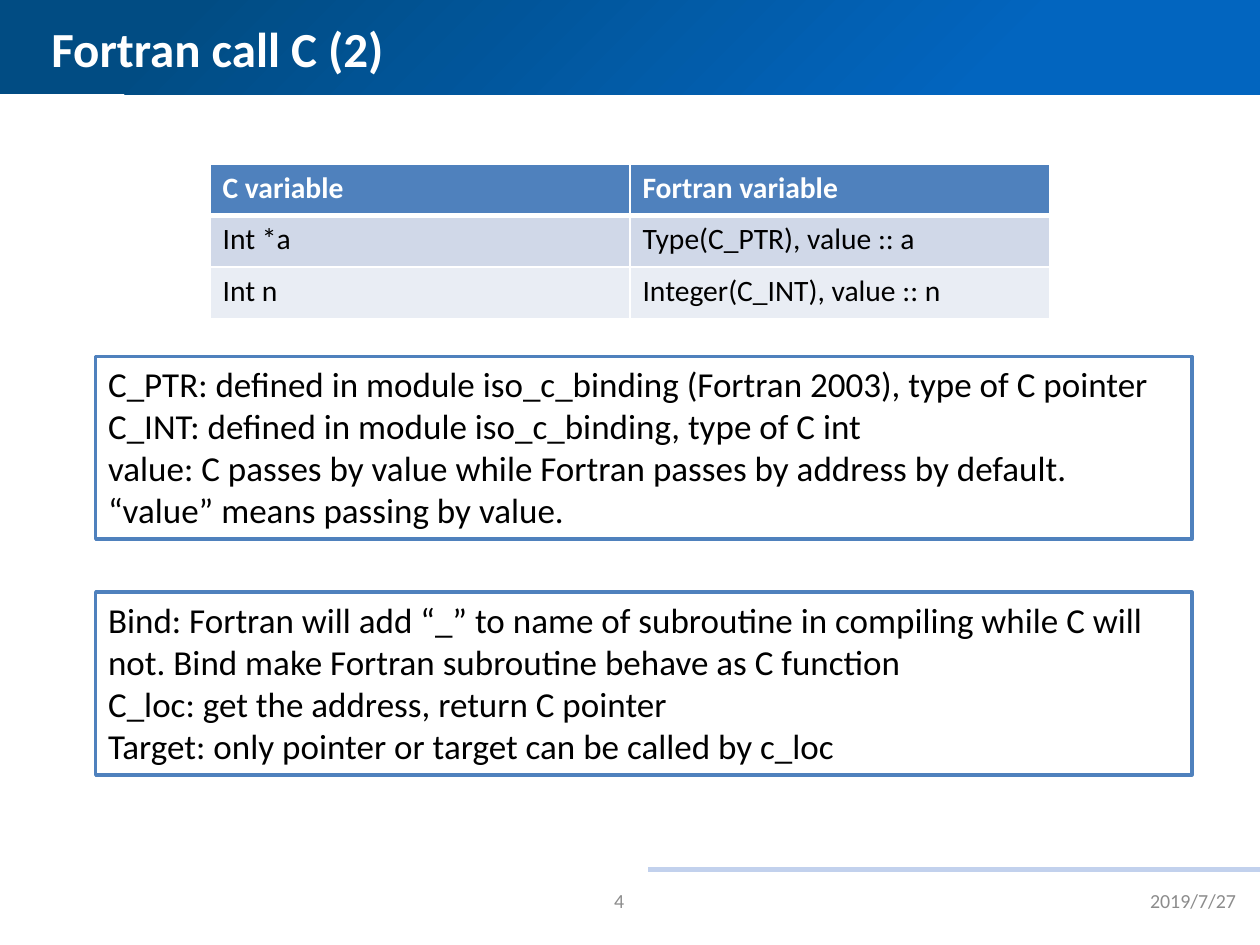
"""Build the slide on calling C from Fortran: a type table and two note boxes."""
from lxml import etree
from pptx import Presentation, util as u
from pptx.dml.color import RGBColor
from pptx.enum import shapes, text
from pptx.oxml.ns import qn

WHITE = RGBColor(0xFF, 0xFF, 0xFF)
BLACK = RGBColor(0, 0, 0)
GREY = RGBColor(0x8C, 0x8C, 0x8C)
BLUE = RGBColor(0x4F, 0x81, 0xBD)
PALE_RULE = RGBColor(0xC2, 0xD1, 0xED)
BANNER_STOPS = [(0.21, RGBColor(0x02, 0x65, 0xBF)), (0.86, RGBColor(0x01, 0x4C, 0x83))]
ROW_FILLS = [BLUE, RGBColor(0xD0, 0xD8, 0xE8), RGBColor(0xE9, 0xED, 0xF4)]

WIDTH, HEIGHT = 10, 7.5
BANNER_HEIGHT = HEIGHT / 10
TITLE = "Fortran call C (2)"
VARIABLES = [
    ("C variable", "Fortran variable"),
    ("Int *a", "Type(C_PTR), value :: a"),
    ("Int n", "Integer(C_INT), value :: n"),
]
TABLE_WIDTH, TABLE_TOP, ROW_HEIGHT = WIDTH * 2 / 3, 1.3, 0.41
NOTES = [
    [
        "C_PTR: defined in module iso_c_binding (Fortran 2003), type of C pointer",
        "C_INT: defined in module iso_c_binding, type of C int",
        "value: C passes by value while Fortran passes by address by default. “value” means passing by value.",
    ],
    [
        "Bind: Fortran will add “_” to name of subroutine in compiling while C will not. "
        "Bind make Fortran subroutine behave as C function",
        "C_loc: get the address, return C pointer",
        "Target: only pointer or target can be called by c_loc",
    ],
]
NOTE_LEFT, NOTE_TOP, NOTE_WIDTH, NOTE_HEIGHT, NOTE_PITCH = 0.76, 2.83, 8.7, 1.45, 1.87
FOOTERS = [("2019/7/27", 7.58, text.PP_ALIGN.RIGHT), ("4", 3.75, text.PP_ALIGN.CENTER)]
RULE_LEFT, RULE_TOP = 5.14, 6.9


def inches(*lengths):
    return [u.Inches(length) for length in lengths]


def write(frame, lines, size, color=BLACK, bold=False,
          align=text.PP_ALIGN.LEFT, anchor=text.MSO_ANCHOR.TOP):
    frame.word_wrap = True
    frame.vertical_anchor = anchor
    for index, line in enumerate(lines):
        paragraph = frame.add_paragraph() if index else frame.paragraphs[0]
        paragraph.alignment = align
        run = paragraph.add_run()
        run.text = line
        run.font.name = "Calibri"
        run.font.size = u.Pt(size)
        run.font.bold = bold
        run.font.color.rgb = color


def add_box(slide, *place):
    box = slide.shapes.add_shape(shapes.MSO_SHAPE.RECTANGLE, *inches(*place))
    box.shadow.inherit = False
    return box


def add_banner(slide):
    banner = add_box(slide, 0, 0, WIDTH, BANNER_HEIGHT)
    banner.line.fill.background()
    banner.fill.gradient()
    for stop, (position, color) in zip(banner.fill.gradient_stops, BANNER_STOPS):
        stop.position = position
        stop.color.rgb = color
    gradient = banner.fill._xPr.find(qn("a:gradFill"))
    gradient.remove(gradient.find(qn("a:lin")))
    radial = etree.Element(qn("a:path"), {"path": "circle"})
    etree.SubElement(radial, qn("a:fillToRect"), l="100000", t="100000")
    gradient.find(qn("a:gsLst")).addnext(radial)


def add_rule(slide):
    rule = slide.shapes.add_connector(
        shapes.MSO_CONNECTOR.STRAIGHT, *inches(WIDTH, RULE_TOP, RULE_LEFT, RULE_TOP))
    rule.line.color.rgb = PALE_RULE
    rule.line.width = u.Pt(3.25)
    etree.SubElement(rule._element.spPr, qn("a:effectLst"))


def add_label(slide, words, place, **style):
    label = slide.shapes.add_textbox(*inches(*place))
    write(label.text_frame, [words], anchor=text.MSO_ANCHOR.MIDDLE, **style)


def set_borders(cell, widths):
    properties = cell._tc.get_or_add_tcPr()
    for index, (side, width) in enumerate(widths.items()):
        border = etree.Element(qn(f"a:ln{side}"), w=str(u.Pt(width)))
        solid = etree.SubElement(border, qn("a:solidFill"))
        etree.SubElement(solid, qn("a:srgbClr"), val=str(WHITE))
        properties.insert(index, border)


def add_variables(slide):
    rows, columns = len(VARIABLES), len(VARIABLES[0])
    place = inches((WIDTH - TABLE_WIDTH) / 2, TABLE_TOP, TABLE_WIDTH, ROW_HEIGHT * rows)
    table = slide.shapes.add_table(rows, columns, *place).table
    for r, (entries, fill) in enumerate(zip(VARIABLES, ROW_FILLS)):
        header = r == 0
        for c, entry in enumerate(entries):
            cell = table.cell(r, c)
            cell.fill.solid()
            cell.fill.fore_color.rgb = fill
            set_borders(cell, {"L": 1, "R": 1, "T": 3 if r == 1 else 1, "B": 3 if header else 1})
            write(cell.text_frame, [entry], size=16.9, bold=header,
                  color=WHITE if header else BLACK)


def add_note(slide, lines, top):
    note = add_box(slide, NOTE_LEFT, top, NOTE_WIDTH, NOTE_HEIGHT)
    note.fill.solid()
    note.fill.fore_color.rgb = WHITE
    note.line.color.rgb = BLUE
    note.line.width = u.Pt(2)
    write(note.text_frame, lines, size=20)


def main():
    deck = Presentation()
    deck.slide_width, deck.slide_height = inches(WIDTH, HEIGHT)
    slide = deck.slides.add_slide(deck.slide_layouts[6])
    add_banner(slide)
    add_rule(slide)
    add_label(slide, TITLE, (0.31, 0.01, 8.43, 0.74), size=28, color=WHITE, bold=True)
    for words, left, align in FOOTERS:
        add_label(slide, words, (left, 6.95, 2.33, 0.4), size=11.4, color=GREY, align=align)
    add_variables(slide)
    for index, lines in enumerate(NOTES):
        add_note(slide, lines, NOTE_TOP + index * NOTE_PITCH)
    deck.save("out.pptx")


if __name__ == "__main__":
    main()
